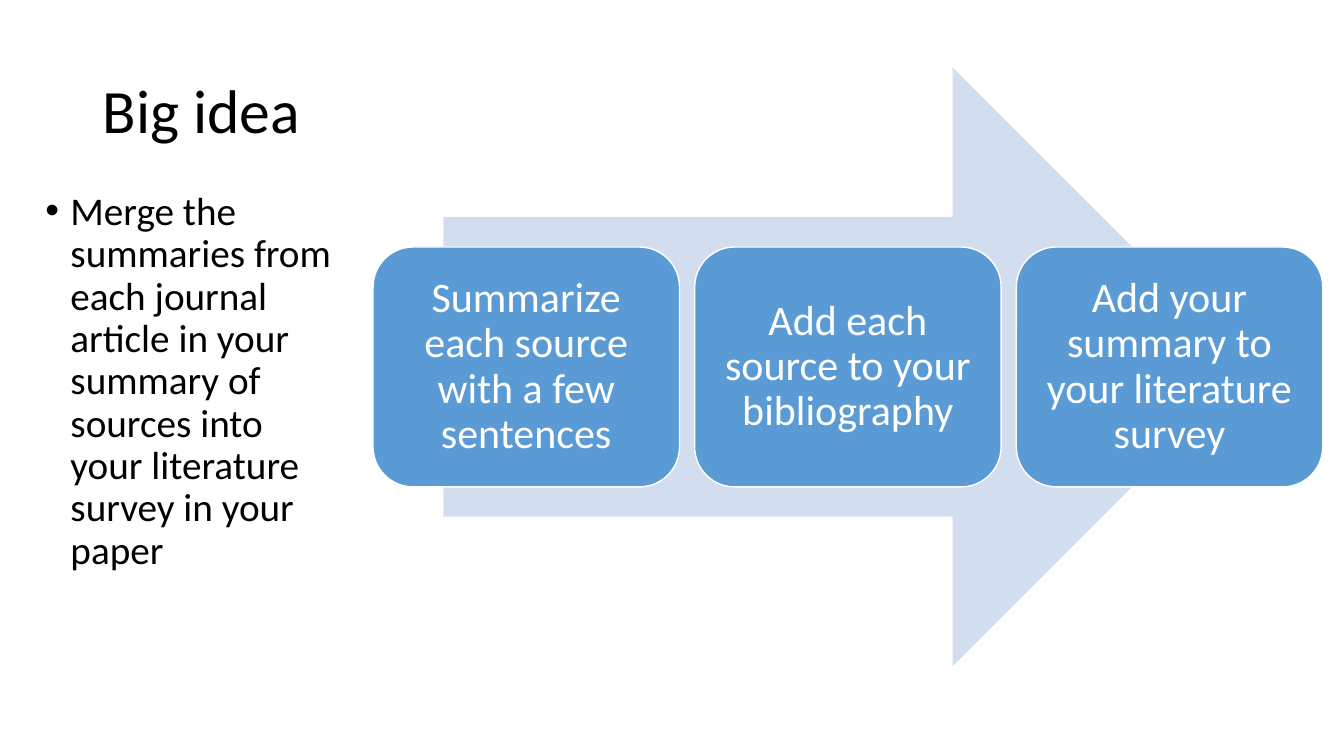
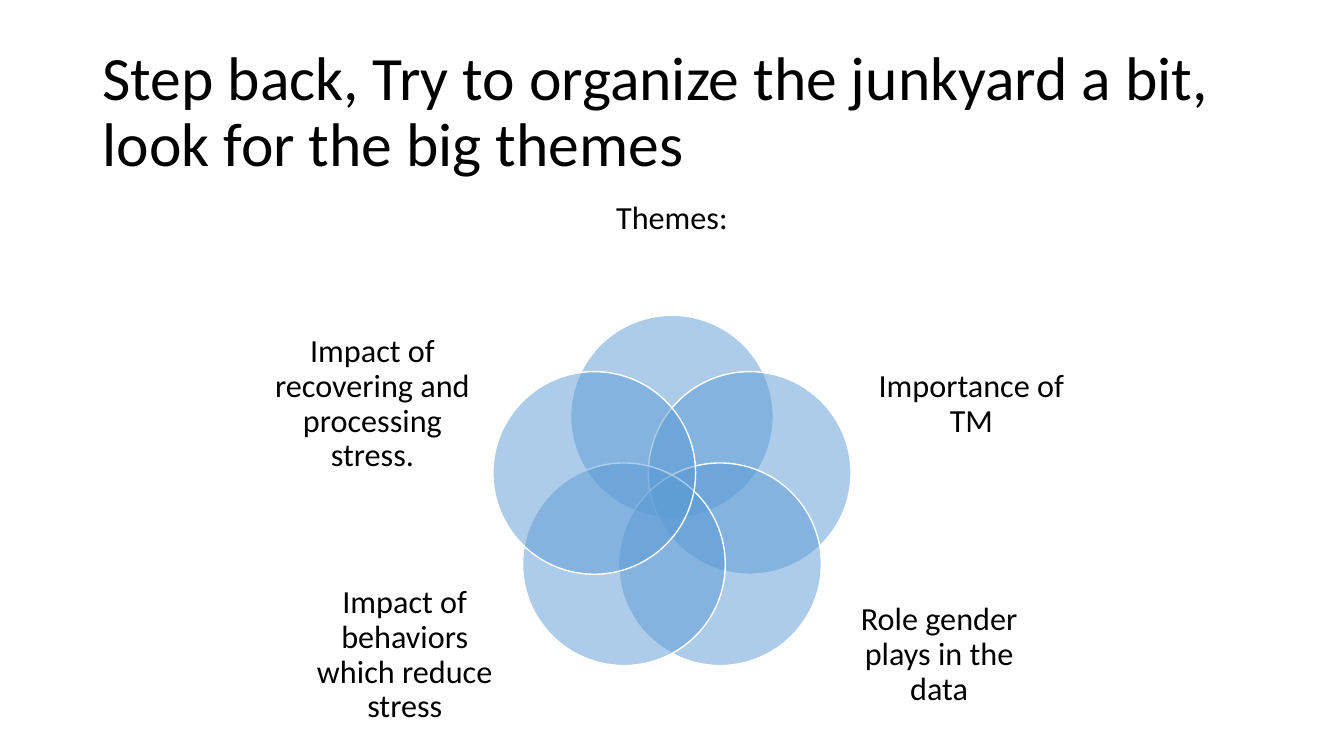
import math

import pptx
import pptx.dml.color
import pptx.enum.shapes
import pptx.enum.text
import pptx.oxml.ns
import pptx.util
from lxml import etree

# Shared look
COLORS = {"text": "000000", "blue": "5B9BD5", "pale": "D2DEEF", "white": "FFFFFF"}
FONT = "Calibri"
W, H = pptx.util.Inches(13.33), pptx.util.Inches(7.5)
SHAPE = pptx.enum.shapes.MSO_SHAPE
ANCHOR = pptx.enum.text.MSO_ANCHOR
ALIGN = pptx.enum.text.PP_ALIGN

# Text styles: frame, paragraph and font attributes
MIDDLE = {"vertical_anchor": ANCHOR.MIDDLE}
MARGINS = ("margin_left", "margin_right", "margin_top", "margin_bottom")
STYLES = {
    "title": (MIDDLE, {}, 44, "text"),
    "body": ({}, {"space_before": pptx.util.Pt(10)}, 28, "text"),
    "card": (MIDDLE | dict.fromkeys(MARGINS, pptx.util.Inches(0.12)),
             {"alignment": ALIGN.CENTER}, 30, "white"),
    "label": (MIDDLE | dict.fromkeys(MARGINS, 0),
              {"alignment": ALIGN.CENTER}, 23, "text"),
}

# Places as percent of the slide: left, top, width, height
TITLE = (6.9, 5.33, 86.25, 19.33)
BODY = (2.63, 24.67, 23.63, 63.47)
ARROW = (33, 8.93, 60.17, 79.2)
CARD = (27.76, 32.67, 22.8, 31.73)
CARD_PITCH = 23.93
CIRCLE = (15.08, 26.8)
LABEL = (15.68, 19.47)
RING_CENTER = (50, 65.9)
RING_RADIUS = (6.08, 10.8)


def rgb(name):
    return pptx.dml.color.RGBColor.from_string(COLORS[name])


def place(box):
    left, top, width, height = box
    return [round(v / 100) for v in (left * W, top * H, width * W, height * H)]


def centered(x, y, size):
    width, height = size
    return x - width / 2, y - height / 2, width, height


def apply(obj, values):
    for name, value in values.items():
        setattr(obj, name, value)


def write(sp, text, style):
    frame, para, size, color = STYLES[style]
    tf = sp.text_frame
    apply(tf, {"word_wrap": True} | frame)
    p = tf.paragraphs[0]
    apply(p, {"line_spacing": 0.9} | para)
    r = p.add_run()
    r.text = text
    apply(r.font, {"name": FONT, "size": pptx.util.Pt(size)})
    r.font.color.rgb = rgb(color)
    return p


def add_text(s, box, text, style):
    return write(s.shapes.add_textbox(*place(box)), text, style)


def add_bullet(p, indent=pptx.util.Inches(0.25)):
    pPr = p._p.get_or_add_pPr()
    pPr.set("marL", str(indent))
    pPr.set("indent", str(-indent))
    etree.SubElement(pPr, pptx.oxml.ns.qn("a:buFont"), typeface="Arial")
    etree.SubElement(pPr, pptx.oxml.ns.qn("a:buChar"), char="•")


def add_shape(s, kind, box, fill, outlined=True, alpha=None):
    sp = s.shapes.add_shape(kind, *place(box))
    sp.shadow.inherit = False
    sp.fill.solid()
    sp.fill.fore_color.rgb = rgb(fill)
    if outlined:
        sp.line.color.rgb = rgb("white")
        sp.line.width = pptx.util.Pt(1)
    else:
        sp.line.fill.background()
    if alpha is not None:
        clr = sp._element.spPr.find(".//" + pptx.oxml.ns.qn("a:srgbClr"))
        etree.SubElement(clr, pptx.oxml.ns.qn("a:alpha"), val=str(alpha * 1000))
    return sp


def add_slide(prs, title):
    s = prs.slides.add_slide(prs.slide_layouts[6])
    add_text(s, TITLE, title, "title")
    return s


def add_steps(s, steps):
    add_shape(s, SHAPE.RIGHT_ARROW, ARROW, "pale", outlined=False)
    left, *rest = CARD
    for i, text in enumerate(steps):
        box = (left + i * CARD_PITCH, *rest)
        write(add_shape(s, SHAPE.ROUNDED_RECTANGLE, box, "blue"), text, "card")


def add_venn(s, themes):
    # Circles run clockwise from the top of the ring
    (cx, cy), (rx, ry) = RING_CENTER, RING_RADIUS
    for i, (text, dx, y) in enumerate(themes):
        angle = 2 * math.pi * i / len(themes)
        x_mid, y_mid = cx + rx * math.sin(angle), cy - ry * math.cos(angle)
        add_shape(s, SHAPE.OVAL, centered(x_mid, y_mid, CIRCLE), "blue", alpha=50)
        add_text(s, centered(cx + dx, y, LABEL), text, "label")


def main():
    prs = pptx.Presentation()
    apply(prs, {"slide_width": W, "slide_height": H})

    # Slide 1: steps on an arrow
    s = add_slide(prs, "Big idea")
    add_steps(s, ["Summarize each source with a few sentences",
                  "Add each source to your bibliography",
                  "Add your summary to your literature survey"])
    add_bullet(add_text(s, BODY, "Merge the summaries from each journal article in your "
                        "summary of sources into your literature survey in your paper",
                        "body"))

    # Slide 2: themes as text, offset from the ring's axis, height
    s = add_slide(prs, "Step back, Try to organize the junkyard a bit, "
                  "look for the big themes")
    upper, lower = (22.28, 53.47), (19.88, 86.67)
    add_venn(s, [("Themes:", 0, 29),
                 ("Importance of TM", upper[0], upper[1]),
                 ("Role gender plays in the data", lower[0], lower[1]),
                 ("Impact of behaviors which reduce stress", -lower[0], lower[1]),
                 ("Impact of recovering and processing stress.", -upper[0], upper[1])])

    prs.save("out.pptx")


if __name__ == "__main__":
    main()
